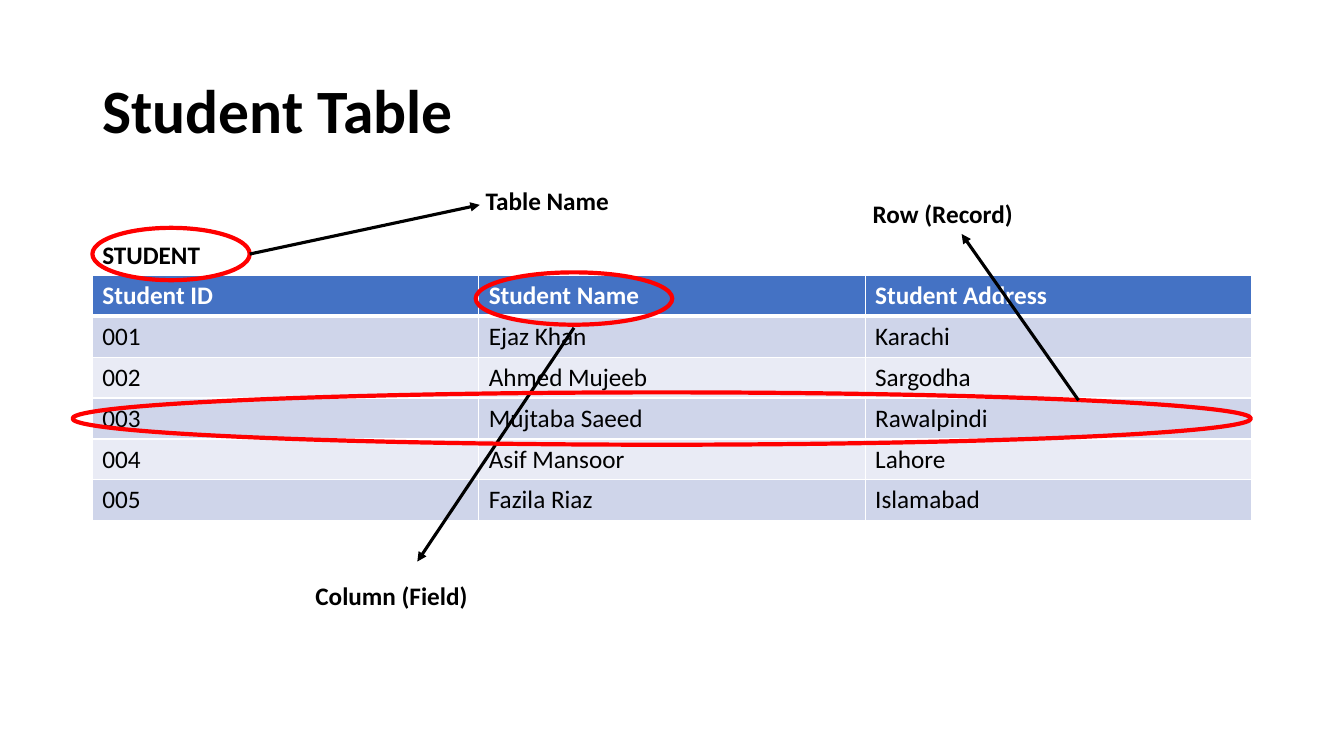
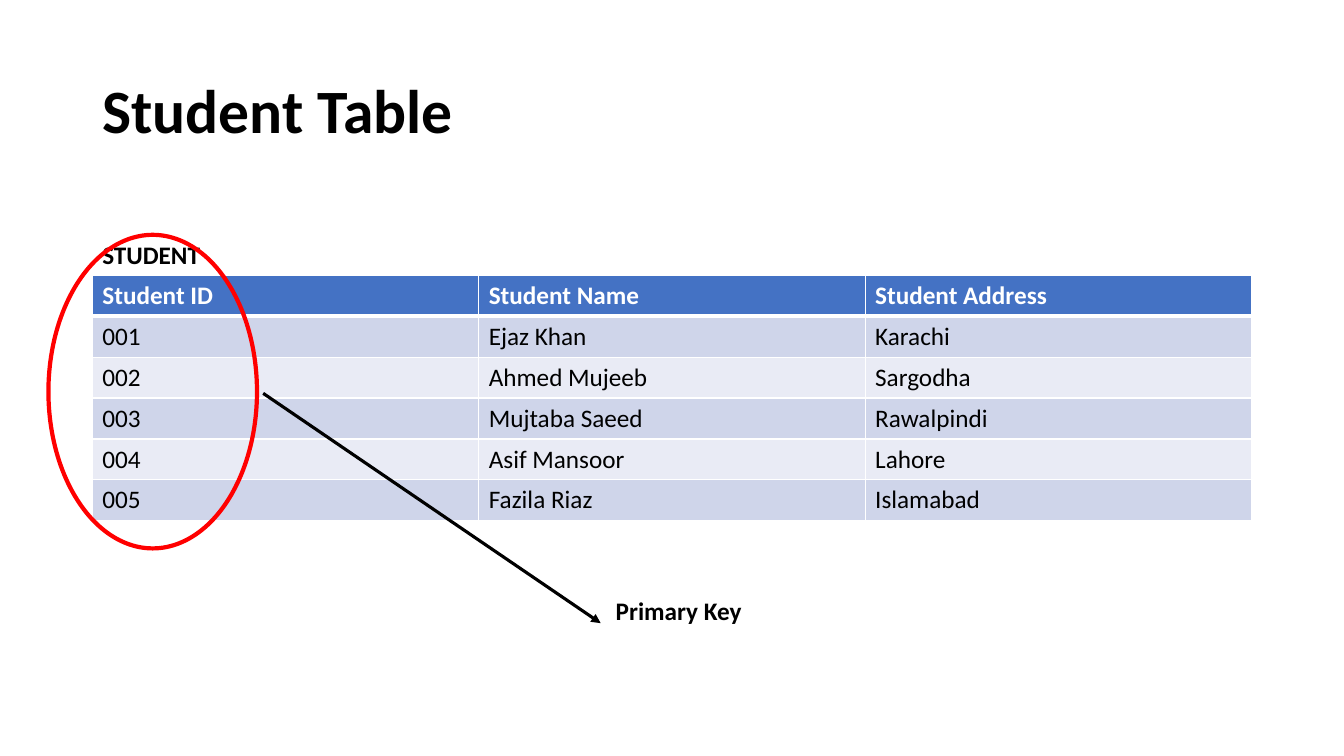
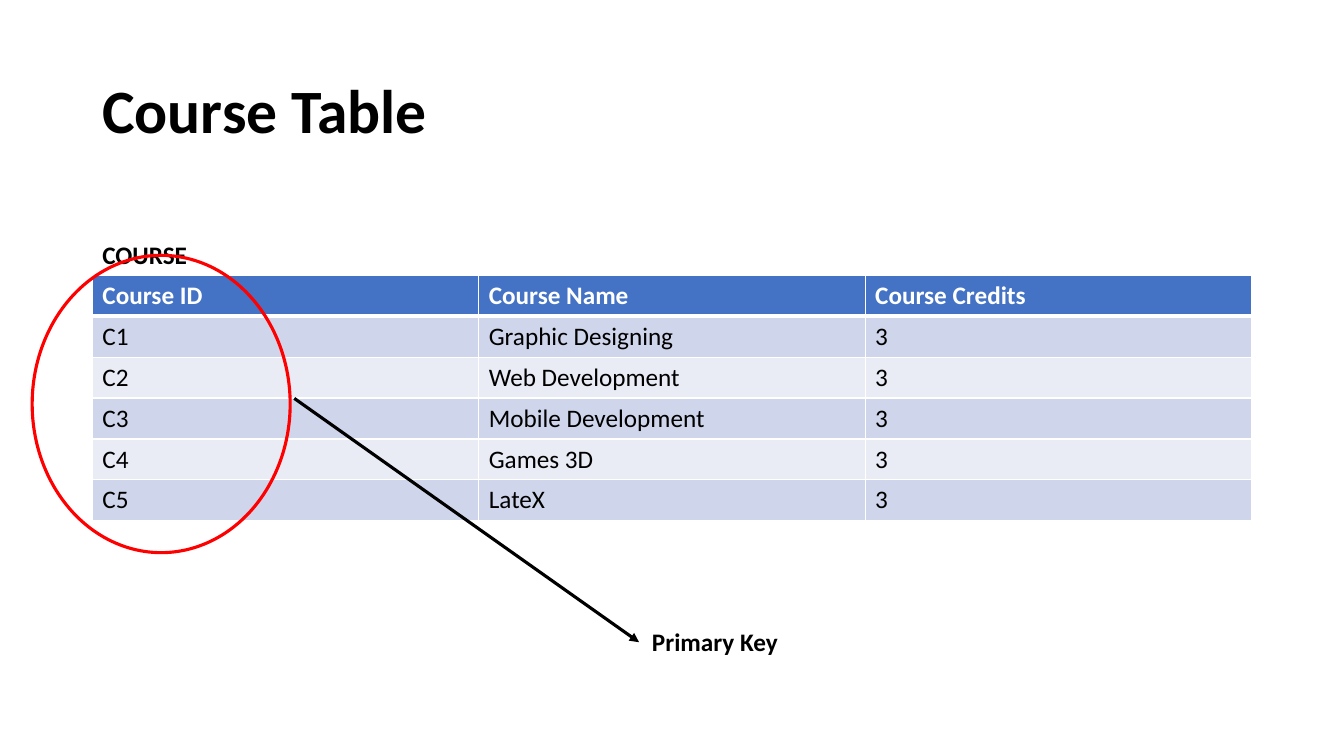
from pptx import Presentation
from pptx.dml.color import RGBColor
from pptx.enum.shapes import MSO_CONNECTOR as CONN, MSO_SHAPE as SHAPE
from pptx.enum.text import MSO_ANCHOR as ANCHOR
from pptx.oxml.ns import qn
from pptx.util import Pt
from lxml.etree import SubElement

BLACK, WHITE, RED, BLUE = "000000", "FFFFFF", "FF0000", "4472C4"
BANDS = ("CFD5EA", "E9EBF5")
FONT = "Calibri"
TITLE_BOX = (66, 28.75, 828, 104.4)
TABLE_BOX = (66, 196.75, 828, 175.2)
LABEL_H, RING_H = 29.25, 37.4

STUDENTS = [
    ("Student ID", "Student Name", "Student Address"),
    ("001", "Ejaz Khan", "Karachi"),
    ("002", "Ahmed Mujeeb", "Sargodha"),
    ("003", "Mujtaba Saeed", "Rawalpindi"),
    ("004", "Asif Mansoor", "Lahore"),
    ("005", "Fazila Riaz", "Islamabad"),
]
COURSES = [
    ("Course ID", "Course Name", "Course Credits"),
    ("C1", "Graphic Designing", "3"),
    ("C2", "Web Development", "3"),
    ("C3", "Mobile Development", "3"),
    ("C4", "Games 3D", "3"),
    ("C5", "LateX", "3"),
]

# Callouts: (label, label offset, ring box, ring weight, arrow start, arrow end),
# all measured from the top left corner of the table.
PARTS = [
    ("Table Name", (273.8, -67.7), (0, -34, 112.4, RING_H), 3,
     (112.4, -15.3), (276.7, -50.4)),
    ("Column (Field)", (152.2, 214.5), (273.8, -2.2, 140.4, RING_H), 3,
     (344, 37.4), (232.1, 204.4)),
    ("Row (Record)", (550.3, -58.4), (-14.2, 83.5, 841.7, RING_H), 3,
     (704.4, 89.2), (620.9, -29.6)),
]
STUDENT_KEY = [
    ("Primary Key", (366.7, 225.3), (-31.4, -29, 149, 224), 3,
     (122, 84.2), (363.1, 248.4)),
]
COURSE_KEY = [
    ("Primary Key", (392.6, 246.9), (-43, -14.4, 184.3, 212.4), 2.25,
     (144.2, 87.8), (390.5, 262)),
]


def rgb(color):
    return RGBColor.from_string(color)


def pts(*lengths):
    return [Pt(v) for v in lengths]


def write(tf, text, size=18, color=BLACK, bold=True):
    p = tf.paragraphs[0]
    r = p.add_run()
    r.text = text
    for name, value in dict(name=FONT, size=Pt(size), bold=bold).items():
        setattr(r.font, name, value)
    r.font.color.rgb = rgb(color)
    return p


def add_text(s, box, text, **style):
    tf = s.shapes.add_textbox(*pts(*box)).text_frame
    tf.word_wrap = True
    return tf, write(tf, text, **style)


def add_title(s, box, text):
    tf, p = add_text(s, box, text, size=44)
    tf.vertical_anchor = ANCHOR.MIDDLE
    p.line_spacing = 0.9


def add_borders(cell, bottom):
    """Give a cell white borders of 1 pt, with its own weight at the bottom."""
    tc_pr = cell._tc.get_or_add_tcPr()
    for side, weight in dict(L=1, R=1, T=1, B=bottom).items():
        ln = SubElement(tc_pr, qn(f"a:ln{side}"), w=str(Pt(weight)))
        fill = SubElement(ln, qn("a:solidFill"))
        SubElement(fill, qn("a:srgbClr"), val=WHITE)


def add_grid(s, box, rows):
    x, y, w, h = box
    table = s.shapes.add_table(len(rows), len(rows[0]), *pts(*box)).table
    table.horz_banding = False
    for col in table.columns:
        col.width = Pt(w / len(rows[0]))
    for i, row in enumerate(rows):
        table.rows[i].height = Pt(h / len(rows))
        header = i == 0
        for j, text in enumerate(row):
            cell = table.cell(i, j)
            add_borders(cell, bottom=3 if header else 1)
            cell.fill.solid()
            cell.fill.fore_color.rgb = rgb(BLUE if header else BANDS[(i - 1) % 2])
            write(cell.text_frame, text, color=WHITE if header else BLACK, bold=header)


def add_ring(s, box, weight):
    sp = s.shapes.add_shape(SHAPE.OVAL, *pts(*box))
    sp.shadow.inherit = False
    sp.fill.background()
    sp.line.color.rgb = rgb(RED)
    sp.line.width = Pt(weight)


def add_arrow(s, start, end):
    line = s.shapes.add_connector(CONN.STRAIGHT, *pts(*start, *end))
    line.line.color.rgb = rgb(BLACK)
    line.line.width = Pt(2.25)
    SubElement(line.line._get_or_add_ln(), qn("a:tailEnd"), type="triangle")
    SubElement(line._element.spPr, qn("a:effectLst"))


def add_callout(s, origin, label, label_at, ring, weight, start, end):
    """Ring a part of the table and point from it to its label."""
    def shift(x, y):
        return origin[0] + x, origin[1] + y

    add_ring(s, (*shift(*ring[:2]), *ring[2:]), weight)
    add_arrow(s, shift(*start), shift(*end))
    add_text(s, (*shift(*label_at), 140.4, LABEL_H), label)


def add_table_slide(prs, title, name, rows, callouts):
    s = prs.slides.add_slide(prs.slide_layouts[6])
    x, y = TABLE_BOX[:2]
    add_title(s, TITLE_BOX, title)
    add_grid(s, TABLE_BOX, rows)
    add_text(s, (x, y - LABEL_H, 191.5, LABEL_H), name)
    for callout in callouts:
        add_callout(s, (x, y), *callout)


def main():
    prs = Presentation()
    prs.slide_width, prs.slide_height = pts(960, 540)
    add_table_slide(prs, "Student Table", "STUDENT", STUDENTS, PARTS)
    add_table_slide(prs, "Student Table", "STUDENT", STUDENTS, STUDENT_KEY)
    add_table_slide(prs, "Course Table", "COURSE", COURSES, COURSE_KEY)
    prs.save("out.pptx")


if __name__ == "__main__":
    main()
